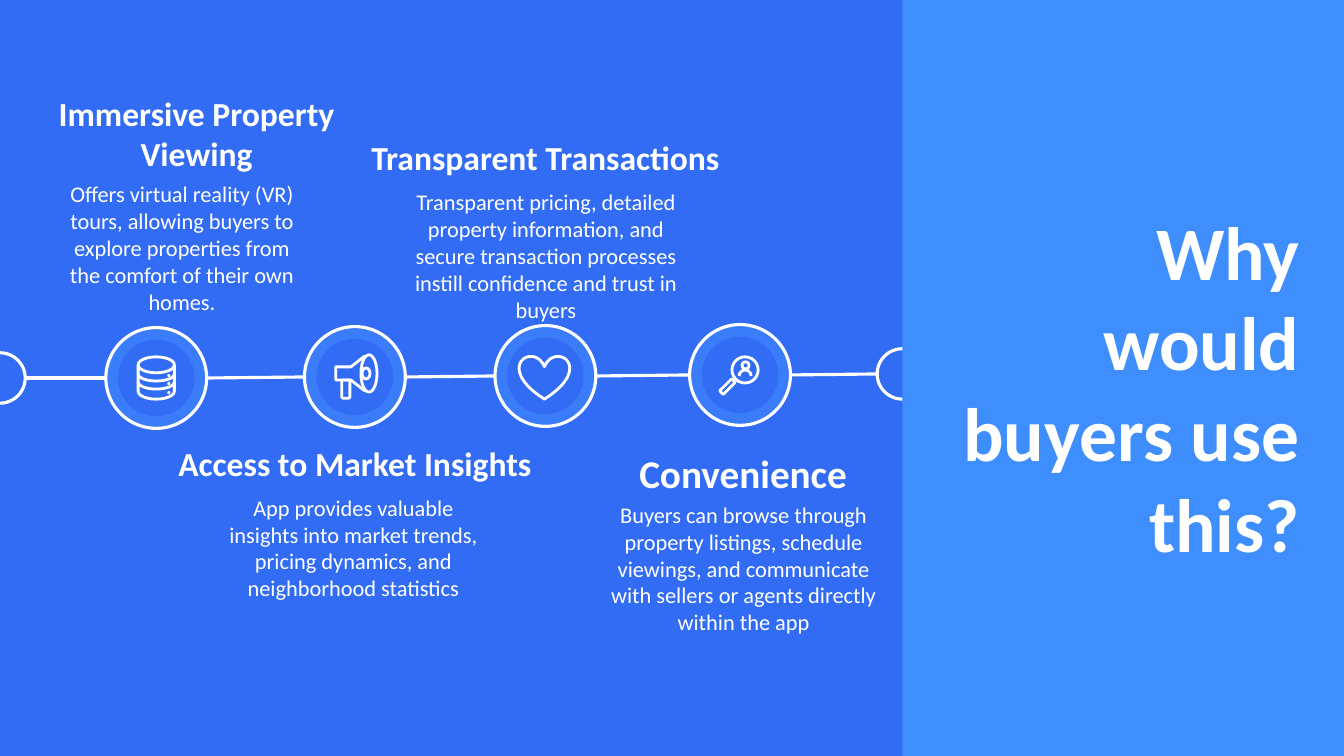
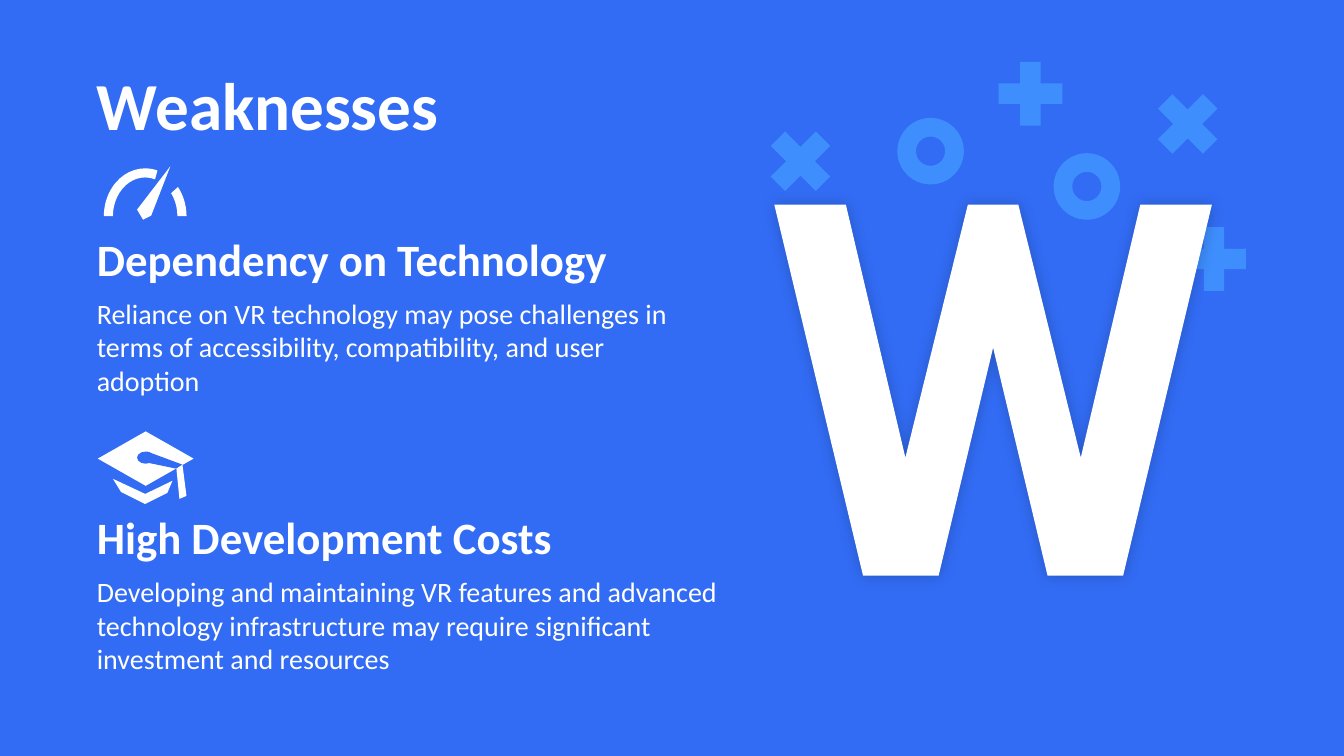
from lxml import etree
from pptx import Presentation
from pptx import util as u
from pptx.dml.color import RGBColor
from pptx.enum import shapes, text
from pptx.oxml.ns import qn


class Theme:
    base = RGBColor.from_string("326CF4")
    ring = RGBColor.from_string("3B7CFA")
    accent = RGBColor.from_string("3E8EFD")
    white = RGBColor.from_string("FFFFFF")
    font = "Calibri"
    side_title, title, heading, body = 54, 48, 32, 20
    label_large, label, caption = 28, 24, 16
    rule, icon = 2.25, 2


LEFT, CENTER, RIGHT = text.PP_ALIGN.LEFT, text.PP_ALIGN.CENTER, text.PP_ALIGN.RIGHT
SHAPE = shapes.MSO_SHAPE


def write(sp, box, words, size, bold=False, align=LEFT):
    """Place a text shape and fill it with one plain, unbulleted paragraph."""
    sp.left, sp.top, sp.width, sp.height = [u.Inches(v) for v in box]
    tf = sp.text_frame
    tf.word_wrap = True
    tf.auto_size = text.MSO_AUTO_SIZE.NONE
    tf.vertical_anchor = text.MSO_ANCHOR.TOP
    p = tf.paragraphs[0]
    p.alignment = align
    p.space_before = u.Pt(0)
    pPr = p._p.get_or_add_pPr()
    pPr.set("marL", "0")
    pPr.set("indent", "0")
    etree.SubElement(pPr, qn("a:buNone"))
    r = p.add_run()
    r.text = words
    r.font.name, r.font.size, r.font.bold = Theme.font, u.Pt(size), bold
    r.font.color.rgb = Theme.white


def paint(sp, fill=None, weight=None):
    """Give a shape a flat fill, a white outline, or both."""
    sp.shadow.inherit = False
    if fill is None:
        sp.fill.background()
    else:
        sp.fill.solid()
        sp.fill.fore_color.rgb = fill
    if weight is None:
        sp.line.fill.background()
    else:
        sp.line.color.rgb = Theme.white
        sp.line.width = u.Pt(weight)


prs = Presentation()
prs.slide_width, prs.slide_height = u.Inches(13.33), u.Inches(7.5)
background = prs.slide_master.background.fill
background.solid()
background.fore_color.rgb = Theme.base

# Slide 1: timeline of buyer benefits
buyers = prs.slides.add_slide(prs.slide_layouts[5])

# Each stop is centre x, centre y, radius; the timeline rises slightly
centers = [0, 1.55, 3.52, 5.41, 7.34, 8.95]
stops = [(x, 3.75 - 0.01 * max(i - 1, 0), 0.25 if i in (0, 5) else 0.5)
         for i, x in enumerate(centers)]
for (x, y, radius), (next_x, next_y, next_radius) in zip(stops, stops[1:]):
    link = buyers.shapes.add_connector(
        shapes.MSO_CONNECTOR.STRAIGHT, u.Inches(x + radius), u.Inches(y),
        u.Inches(next_x - next_radius), u.Inches(next_y))
    link.line.color.rgb = Theme.white
    link.line.width = u.Pt(Theme.rule)
    etree.SubElement(link._element.spPr, qn("a:effectLst"))

for x, y, radius in stops:
    circles = [(radius, Theme.base, Theme.rule)]
    if radius == 0.5:
        circles = [(radius, Theme.ring, Theme.rule), (0.38, Theme.base, None)]
    for r, fill, weight in circles:
        box = [u.Inches(v) for v in (x - r, y - r, 2 * r, 2 * r)]
        paint(buyers.shapes.add_shape(SHAPE.OVAL, *box), fill, weight)

panel = buyers.shapes.add_shape(SHAPE.RECTANGLE, u.Inches(8.95), 0,
                                u.Inches(4.38), prs.slide_height)
paint(panel, Theme.accent)
title = buyers.shapes.title
panel._element.addnext(title._element)
write(title, (9.33, 1.98, 3.66, 3.74), "Why would buyers use this?",
      Theme.side_title, True, RIGHT)

# Label, its size, centre x and top; caption, its left, top and width
benefits = [
    ("Immersive Property Viewing", Theme.label, 1.95, 0.87,
     "Offers virtual reality (VR) tours, allowing buyers to explore properties "
     "from the comfort of their own homes.", 0.47, 1.74, 2.67),
    ("Transparent Transactions", Theme.label, 5.41, 1.31,
     "Transparent pricing, detailed property information, and secure transaction "
     "processes instill confidence and trust in buyers", 3.97, 1.82, 2.89),
    ("Access to Market Insights", Theme.label, 3.52, 4.34,
     "App provides valuable insights into market trends, pricing dynamics, and "
     "neighborhood statistics", 2.06, 4.85, 2.89),
    ("Convenience", Theme.label_large, 7.37, 4.41,
     "Buyers can browse through property listings, schedule viewings, and "
     "communicate with sellers or agents directly within the app",
     5.93, 4.92, 2.89),
]
for label, size, center, top, caption, left, caption_top, width in benefits:
    write(buyers.shapes.add_textbox(0, 0, 0, 0), (center - 1.95, top, 3.9, 0.9),
          label, size, True, CENTER)
    write(buyers.shapes.add_textbox(0, 0, 0, 0), (left, caption_top, width, 1.45),
          caption, Theme.caption, False, CENTER)

# Slide 2: weaknesses
weak = prs.slides.add_slide(prs.slide_layouts[4])
write(weak.shapes.title, (0.86, 0.58, 4.56, 0.91), "Weaknesses", Theme.title, True)
weaknesses = [
    (2.25, "Dependency on Technology", 5.92,
     "Reliance on VR technology may pose challenges in terms of accessibility, "
     "compatibility, and user adoption"),
    (5.01, "High Development Costs", 6.54,
     "Developing and maintaining VR features and advanced technology "
     "infrastructure may require significant investment and resources"),
]
slots = list(weak.placeholders)[1:5]
for i, (top, heading, width, detail) in enumerate(weaknesses):
    write(slots[2 * i], (0.86, top, 6.03, 0.64), heading, Theme.heading, True)
    write(slots[2 * i + 1], (0.86, top + 0.64, width, 1.11), detail, Theme.body)

# Scattered crosses, pluses and rings
confetti = [
    (SHAPE.MATH_MULTIPLY, 0.86, 0, [(7.51, 1.17), (11.35, 0.8)]),
    (SHAPE.MATH_MULTIPLY, 0.86, 45, [(9.79, 0.5), (11.61, 2.14)]),
    (SHAPE.DONUT, 0.66, 0, [(8.9, 1.17), (10.45, 1.52)]),
]
for kind, size, turn, corners in confetti:
    for x, y in corners:
        sp = weak.shapes.add_shape(kind, *[u.Inches(v) for v in (x, y, size, size)])
        sp.rotation = turn
        if kind == SHAPE.DONUT:
            sp.adjustments[0] = 0.28
        paint(sp, Theme.accent)

# Icon parts: slide, preset, box, adjustments, rotation, fill (None is outlined)
parts = [
    # Database
    (buyers, SHAPE.CAN, (1.37, 3.54, 0.36, 0.42), [0.44], 0, None),
    # Megaphone
    (buyers, SHAPE.OVAL, (3.58, 3.52, 0.16, 0.37), [], 0, None),
    (buyers, SHAPE.OVAL, (3.59, 3.65, 0.08, 0.11), [], 0, None),
    (buyers, SHAPE.ROUNDED_RECTANGLE, (3.39, 3.77, 0.08, 0.18), [], 0, None),
    # Heart
    (buyers, SHAPE.HEART, (5.15, 3.53, 0.5, 0.43), [], 0, None),
    # Magnifier around a person
    (buyers, SHAPE.OVAL, (7.26, 3.54, 0.26, 0.26), [], 0, None),
    (buyers, SHAPE.OVAL, (7.36, 3.59, 0.07, 0.07), [], 0, None),
    (buyers, SHAPE.ARC, (7.33, 3.67, 0.12, 0.12), [108, 0], 0, None),
    (buyers, SHAPE.ROUNDED_RECTANGLE, (7.13, 3.81, 0.17, 0.05), [], 315, None),
    # Gauge
    (weak, SHAPE.BLOCK_ARC, (1.03, 1.67, 0.82, 0.95), [108, 171, 0.11], 0, Theme.white),
    (weak, SHAPE.BLOCK_ARC, (1.03, 1.67, 0.82, 0.95), [191, 0, 0.11], 0, Theme.white),
    # Graduation cap
    (weak, SHAPE.DIAMOND, (0.97, 4.28, 0.95, 0.54), [], 0, Theme.white),
    (weak, SHAPE.OVAL, (1.36, 4.48, 0.17, 0.12), [], 0, Theme.base),
]
for y in (3.64, 3.72):
    parts.append((buyers, SHAPE.ARC, (1.37, y, 0.36, 0.14), [0, 108], 0, None))
for y in (3.71, 3.79, 3.88):
    parts.append((buyers, SHAPE.OVAL, (1.66, y, 0.03, 0.03), [], 0, Theme.white))
for s, kind, box, adjustments, turn, fill in parts:
    sp = s.shapes.add_shape(kind, *[u.Inches(v) for v in box])
    sp.rotation = turn
    for i, value in enumerate(adjustments):
        sp.adjustments[i] = value
    paint(sp, fill, Theme.icon if fill is None else None)

# The letter W is symmetric about its middle point
left_half = [(9.6, 2.03), (8.98, 4.54), (8.39, 2.03), (7.68, 2.03),
             (8.56, 5.71), (9.31, 5.71)]
right_half = [(2 * 9.85 - x, y) for x, y in reversed(left_half)]
letter = left_half + [(9.85, 3.45)] + right_half

horn = [(3.62, 3.53), (3.48, 3.64), (3.33, 3.64), (3.33, 3.77), (3.48, 3.77),
        (3.62, 3.88)]
needle = [(1.69, 1.65), (1.5, 2.14), (1.42, 2.18), (1.36, 2.08)]
cap_slit = [(1.46, 4.48), (1.81, 4.61), (1.75, 4.65), (1.46, 4.59)]
cap_base = [(1.12, 4.75), (1.44, 4.9), (1.71, 4.77), (1.66, 4.89), (1.44, 5),
            (1.2, 4.88)]
tassel = [(1.75, 4.65), (1.81, 4.61), (1.85, 4.92), (1.78, 4.95)]
outlines = [(buyers, horn, None), (weak, needle, Theme.white),
            (weak, cap_slit, Theme.base), (weak, cap_base, Theme.white),
            (weak, tassel, Theme.white), (weak, letter, Theme.white)]
for s, points, fill in outlines:
    first, *rest = [(u.Inches(x), u.Inches(y)) for x, y in points]
    builder = s.shapes.build_freeform(*first)
    builder.add_line_segments(rest, close=fill is not None)
    sp = builder.convert_to_shape()
    paint(sp, fill, Theme.icon if fill is None else None)
    if points is letter:
        effects = sp._element.spPr.find(qn("a:effectLst"))
        shadow = etree.SubElement(effects, qn("a:outerShdw"),
                                  blurRad=str(u.Pt(10)), dist="0", dir="0")
        color = etree.SubElement(shadow, qn("a:srgbClr"), val="000000")
        etree.SubElement(color, qn("a:alpha"), val="20000")

# Drop the layout's unused date, footer and number fields, if any
for s in prs.slides:
    for sp in list(s.placeholders):
        if not sp.text_frame.text:
            sp._element.getparent().remove(sp._element)

prs.save("out.pptx")
